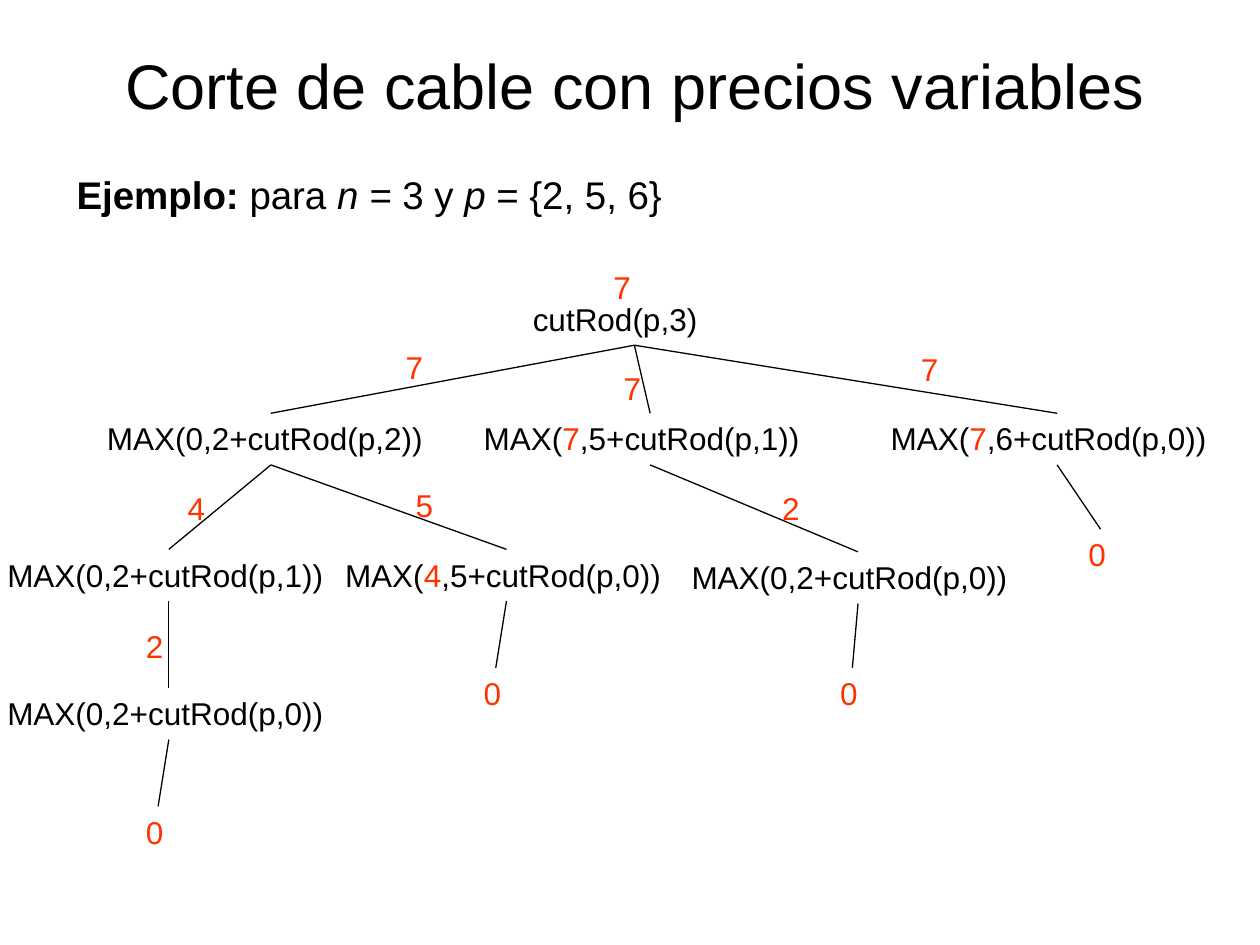
from lxml import etree
from pptx import Presentation
from pptx.dml.color import RGBColor
from pptx.enum.shapes import MSO_CONNECTOR
from pptx.enum.text import MSO_ANCHOR, MSO_AUTO_SIZE, PP_ALIGN
from pptx.oxml.ns import qn
from pptx.util import Inches, Pt

BLACK = RGBColor(0x00, 0x00, 0x00)
RED = RGBColor(0xFF, 0x33, 0x00)
STRAIGHT = MSO_CONNECTOR.STRAIGHT
BOTTOM, TOP = MSO_ANCHOR.BOTTOM, MSO_ANCHOR.TOP
CENTER, JUSTIFY = PP_ALIGN.CENTER, PP_ALIGN.JUSTIFY
NO_AUTOFIT = MSO_AUTO_SIZE.NONE

ROW_H = 0.41
VALUE_W = 0.39

TITLE = "Corte de cable con precios variables"
EXAMPLE = [
    ("Ejemplo:", {"bold": True}),
    (" para ", {}),
    ("n =", {"italic": True}),
    (" 3 y ", {}),
    ("p", {"italic": True}),
    (" = {2, 5, 6}", {}),
]
RED_RUN = {"color": RED}

# name: (parent, left, top, width, runs)
NODES = {
    "root": (None, 4.13, 2.33, 1.81, [("cutRod(p,3)", {})]),
    "cut1": ("root", 0.75, 3.28, 2.8, [("MAX(0,2+cutRod(p,2))", {})]),
    "cut2": ("root", 3.74, 3.28, 2.84,
             [("MAX(", {}), ("7", RED_RUN), (",5+cutRod(p,1))", {})]),
    "cut3": ("root", 6.97, 3.28, 2.84,
             [("MAX(", {}), ("7", RED_RUN), (",6+cutRod(p,0))", {})]),
    "cut1_1": ("cut1", -0.04, 4.36, 2.76, [("MAX(0,2+cutRod(p,1))", {})]),
    "cut1_2": ("cut1", 2.64, 4.36, 2.76,
               [("MAX(", {}), ("4", RED_RUN), (",5+cutRod(p,0))", {})]),
    "cut2_1": ("cut2", 5.39, 4.38, 2.84, [("MAX(0,2+cutRod(p,0))", {})]),
    "cut1_1_1": ("cut1_1", -0.04, 5.46, 2.76, [("MAX(0,2+cutRod(p,0))", {})]),
    "leaf1": ("cut1_1_1", 1.06, 6.4, VALUE_W, [("0", RED_RUN)]),
    "leaf2": ("cut1_2", 3.74, 5.3, VALUE_W, [("0", RED_RUN)]),
    "leaf3": ("cut2_1", 6.57, 5.3, VALUE_W, [("0", RED_RUN)]),
    "leaf4": ("cut3", 8.54, 4.2, VALUE_W, [("0", RED_RUN)]),
}
RETURN_VALUES = [
    ("2", 1.06, 4.93), ("4", 1.39, 3.83), ("5", 3.2, 3.81), ("7", 3.12, 2.71),
    ("2", 6.11, 3.83), ("7", 4.85, 2.88), ("7", 7.21, 2.73), ("7", 4.77, 2.08),
]


def write(sp, runs, size=18, align=JUSTIFY, anchor=TOP, wrap=True):
    tf = sp.text_frame
    tf.word_wrap = wrap
    tf.auto_size = NO_AUTOFIT
    tf.vertical_anchor = anchor
    p = tf.paragraphs[0]
    p.alignment = align
    for text, style in runs:
        r = p.add_run()
        r.text = text
        r.font.name = "Arial"
        r.font.size = Pt(size)
        r.font.bold = style.get("bold", False)
        r.font.italic = style.get("italic", False)
        r.font.color.rgb = style.get("color", BLACK)


def add_text(s, left, top, width, runs, **fmt):
    sp = s.shapes.add_textbox(Inches(left), Inches(top), Inches(width), Inches(ROW_H))
    write(sp, runs, **fmt)


def add_edge(s, parent, child):
    _, x1, y1, w1, _ = NODES[parent]
    _, x2, y2, w2, _ = NODES[child]
    line = s.shapes.add_connector(
        STRAIGHT, Inches(x1 + w1 / 2), Inches(y1 + ROW_H),
        Inches(x2 + w2 / 2), Inches(y2))
    line.line.color.rgb = BLACK
    line.line.width = Pt(0.75)
    etree.SubElement(line._element.spPr, qn("a:effectLst"))


def main():
    prs = Presentation()
    prs.slide_width, prs.slide_height = Inches(10), Inches(7.5)
    s = prs.slides.add_slide(prs.slide_layouts[5])

    title = s.shapes.title
    title.left, title.top = Inches(0.51), Inches(0.21)
    title.width, title.height = Inches(9.06), Inches(0.81)
    write(title, [(TITLE, {})], size=36, align=CENTER, anchor=BOTTOM)

    add_text(s, 0.51, 1.31, 6.06, EXAMPLE, size=22)
    for name, (parent, left, top, width, runs) in NODES.items():
        add_text(s, left, top, width, runs)
        if parent:
            add_edge(s, parent, name)
    for value, left, top in RETURN_VALUES:
        add_text(s, left, top, VALUE_W, [(value, RED_RUN)])

    prs.save("out.pptx")


if __name__ == "__main__":
    main()
